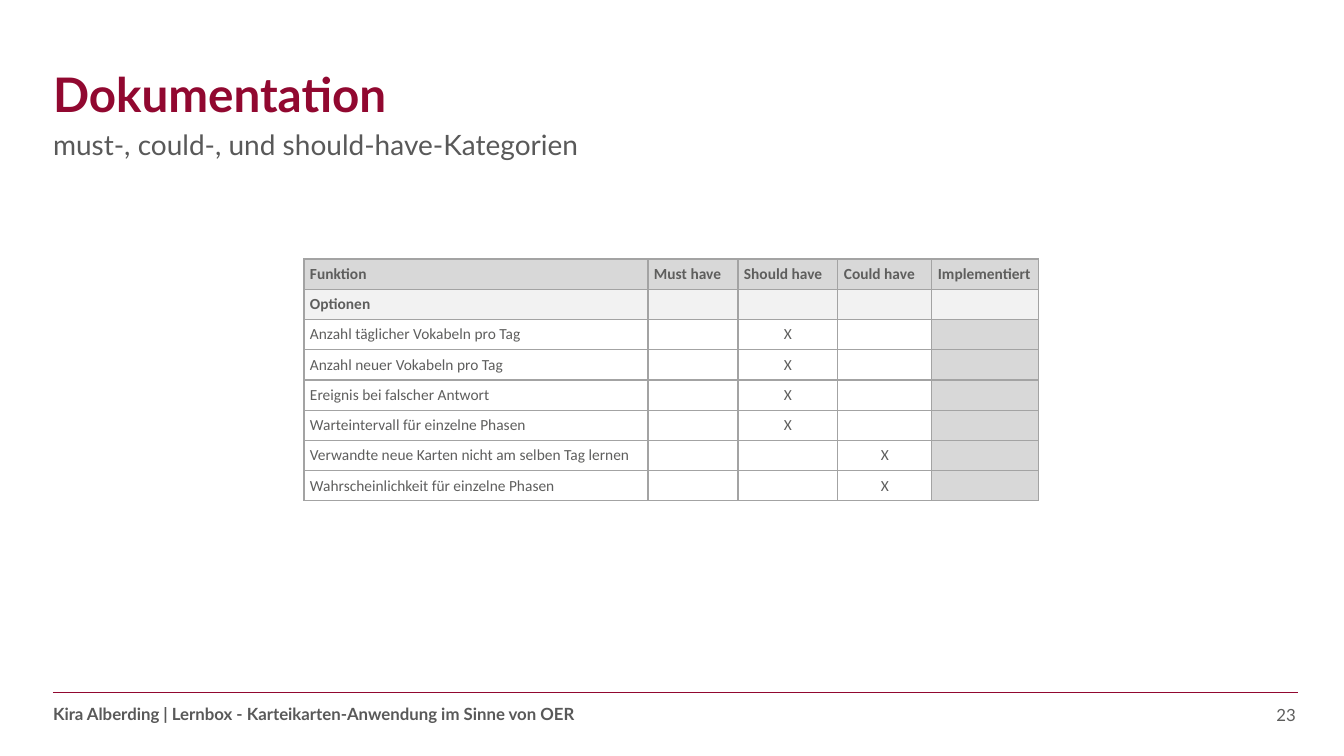
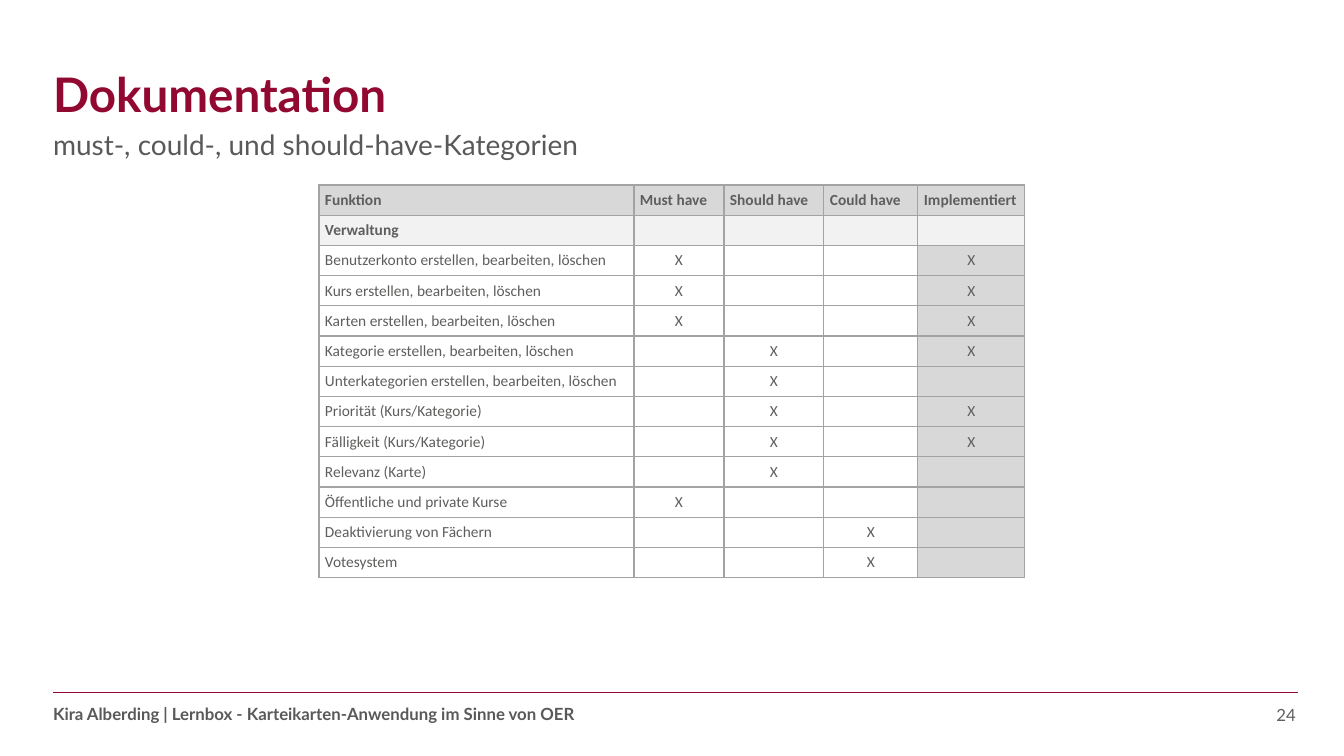
from lxml import etree
from pptx import Presentation
from pptx import util as u
from pptx.dml.color import RGBColor
from pptx.enum import shapes, text
from pptx.oxml.ns import qn

SCALE = u.Inches(1) / 100.8
WINE = RGBColor(0x91, 0x08, 0x30)
DARK = RGBColor(0x59, 0x59, 0x59)
GREY = RGBColor(0x5E, 0x5E, 0x5D)
SHADE = RGBColor(0xD8, 0xD8, 0xD8)
PALE = RGBColor(0xF2, 0xF2, 0xF2)
RULE = RGBColor(0xA3, 0xA3, 0xA3)

HEAD = "Dokumentation"
SUB = "must-, could-, und should-have-Kategorien"
FOOT = "Kira Alberding | Lernbox - Karteikarten-Anwendung im Sinne von OER"
LABELS = ["Funktion", "Must have", "Should have", "Could have", "Implementiert"]
MARKS = [90, 100, 94, 107]
MUST, SHOULD, COULD, DONE = 1, 2, 3, 4

OPTIONS = [
    ("Anzahl täglicher Vokabeln pro Tag", SHOULD),
    ("Anzahl neuer Vokabeln pro Tag", SHOULD),
    ("Ereignis bei falscher Antwort", SHOULD),
    ("Warteintervall für einzelne Phasen", SHOULD),
    ("Verwandte neue Karten nicht am selben Tag lernen", COULD),
    ("Wahrscheinlichkeit für einzelne Phasen", COULD),
]
ADMIN = [
    ("Benutzerkonto erstellen, bearbeiten, löschen", MUST, DONE),
    ("Kurs erstellen, bearbeiten, löschen", MUST, DONE),
    ("Karten erstellen, bearbeiten, löschen", MUST, DONE),
    ("Kategorie erstellen, bearbeiten, löschen", SHOULD, DONE),
    ("Unterkategorien erstellen, bearbeiten, löschen", SHOULD),
    ("Priorität (Kurs/Kategorie)", SHOULD, DONE),
    ("Fälligkeit (Kurs/Kategorie)", SHOULD, DONE),
    ("Relevanz (Karte)", SHOULD),
    ("Öffentliche und private Kurse", MUST),
    ("Deaktivierung von Fächern", COULD),
    ("Votesystem", COULD),
]


def px(n):
    """Turn pixels into EMU."""
    return u.Emu(round(n * SCALE))


def write(para, words, size, color, bold=False, font="Lato"):
    """Add one formatted run to a paragraph."""
    run = para.add_run()
    run.text = words
    run.font.name = font
    run.font.size = u.Pt(size)
    run.font.bold = bold
    run.font.color.rgb = color


def fit(shape, box, anchor=text.MSO_ANCHOR.TOP):
    """Place a text shape without insets and return its first paragraph."""
    shape.left, shape.top, shape.width, shape.height = map(px, box)
    frame = shape.text_frame
    frame.word_wrap = True
    frame.auto_size = text.MSO_AUTO_SIZE.NONE
    frame.vertical_anchor = anchor
    frame.margin_left = frame.margin_right = 0
    frame.margin_top = frame.margin_bottom = 0
    para = frame.paragraphs[0]
    para.alignment = text.PP_ALIGN.LEFT
    para.line_spacing = 0.9
    para.space_before = u.Pt(10)
    return para


def label(slide, box):
    """Add a text box and return its first paragraph."""
    return fit(slide.shapes.add_textbox(0, 0, 0, 0), box)


def header(slide, box):
    """Fill the title and set the subtitle below it."""
    x, y, w, h = box
    title = fit(slide.shapes.title, (x, y, w, 67), text.MSO_ANCHOR.BOTTOM)
    write(title, HEAD, 34, WINE, True)
    write(label(slide, (x, y + 75, w, h - 75)), SUB, 20, DARK)


def footer(slide, box, page):
    """Draw the rule, the footer line and the page number."""
    x, y, w, h = box
    line = slide.shapes.add_connector(
        shapes.MSO_CONNECTOR.STRAIGHT, px(x), px(y), px(x + w), px(y))
    line.line.color.rgb = WINE
    line.line.width = u.Pt(0.75)
    etree.SubElement(line._element.spPr, qn("a:effectLst"))
    write(label(slide, (x, y + 13, 563, h - 13)), FOOT, 12, DARK, True)
    para = label(slide, (x + w - 64, y + 12, 62, h - 12))
    para.alignment = text.PP_ALIGN.RIGHT
    para.line_spacing = 1
    write(para, str(page), 12, GREY)


def border(cell):
    """Draw a thin grey line on all four sides of a cell."""
    props = cell._tc.get_or_add_tcPr()
    for side in ("a:lnL", "a:lnR", "a:lnT", "a:lnB"):
        edge = etree.SubElement(props, qn(side), w=str(u.Pt(1)))
        fill = etree.SubElement(edge, qn("a:solidFill"))
        etree.SubElement(fill, qn("a:srgbClr"), val=str(RULE))


def entry(cell, words, fill, bold, center):
    """Format one table cell and write its words."""
    border(cell)
    if fill:
        cell.fill.solid()
        cell.fill.fore_color.rgb = fill
    else:
        cell.fill.background()
    cell.margin_left = cell.margin_right = px(6)
    cell.margin_top = cell.margin_bottom = px(5)
    cell.vertical_anchor = text.MSO_ANCHOR.MIDDLE
    para = cell.text_frame.paragraphs[0]
    if center:
        para.alignment = text.PP_ALIGN.CENTER
    if words:
        write(para, words, 11, GREY, bold, "Calibri")
    else:
        etree.SubElement(para._p, qn("a:endParaRPr"), sz="1100")


def matrix(slide, box, group, items):
    """Build the table of functions with a cross per category."""
    rows = [LABELS, [group] + [""] * len(MARKS)]
    for name, *hits in items:
        rows.append([name] + ["X" if c in hits else ""
                              for c in range(1, len(LABELS))])
    x, y, w, h = box
    table = slide.shapes.add_table(
        len(rows), len(LABELS), px(x), px(y), px(w), px(h)).table
    table.first_row = table.horz_banding = False
    for col, width in zip(table.columns, [w - sum(MARKS)] + MARKS):
        col.width = px(width)
    for r, row in enumerate(rows):
        table.rows[r].height = px(h / len(rows))
        for c, words in enumerate(row):
            if r == 1:
                fill = PALE
            else:
                fill = SHADE if r == 0 or c == DONE else None
            entry(table.cell(r, c), words, fill, r < 2, r > 1 and c > 0)


def page(deck, number, box, group, items):
    """Add one slide with header, table and footer."""
    slide = deck.slides.add_slide(deck.slide_layouts[5])
    header(slide, (53, 56, 1044, 105))
    matrix(slide, box, group, items)
    footer(slide, (53, 693, 1245, 37), number)


deck = Presentation()
deck.slide_width, deck.slide_height = px(1344), px(756)
page(deck, 23, (304, 259, 735, 242), "Optionen", OPTIONS)
page(deck, 24, (319, 185, 706, 393), "Verwaltung", ADMIN)
deck.save("out.pptx")
